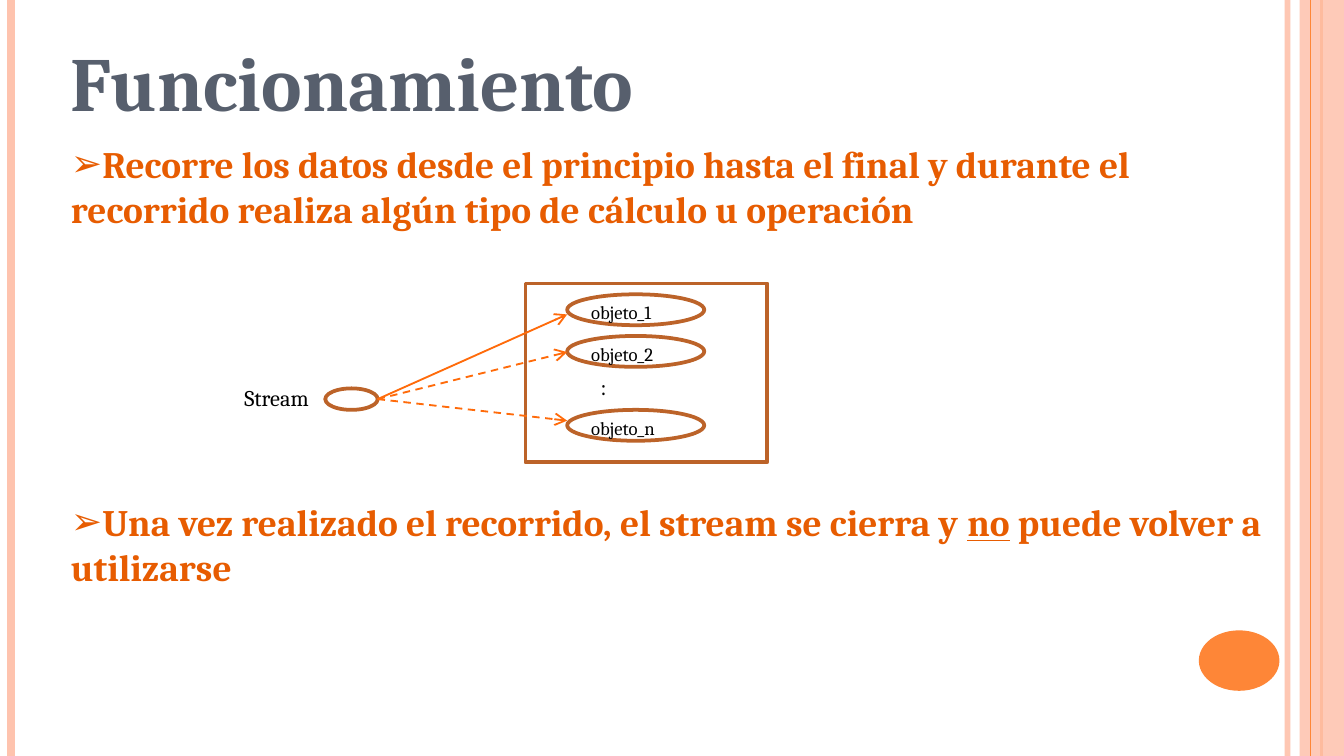
from lxml import etree
from pptx import Presentation
from pptx.dml.color import RGBColor
from pptx.enum.dml import MSO_LINE
from pptx.enum.shapes import MSO_CONNECTOR, MSO_SHAPE
from pptx.oxml.ns import qn
from pptx.util import Inches, Pt

RECT, OVAL = MSO_SHAPE.RECTANGLE, MSO_SHAPE.OVAL
STRAIGHT, DASH = MSO_CONNECTOR.STRAIGHT, MSO_LINE.DASH
W, H = 10, 5.625  # 16:9
FONT, BULLET_FONT = "Cambria", "Arial"
PEACH, ORANGE, BROWN, ARROW = "FEC3AE", "FE8637", "BC6329", "FF6B0A"
GREY, RUST, BLACK = "575F6D", "E75C01", "000000"

# Content
TITLE = "Funcionamiento"
# space before in points, then (text, underlined) runs
BULLETS = [
    (6, [("Recorre los datos desde el principio hasta el final y durante el "
          "recorrido realiza algún tipo de cálculo u operación", False)]),
    (132, [("Una vez realizado el recorrido, el stream se cierra y ", False),
           ("no", True), (" puede volver a utilizarse", False)]),
]
# name, top of its oval, height of the arrow tip, dash
OBJECTS = [
    ("objeto_1", 2.19, 2.34, None),
    ("objeto_2", 2.5, 2.62, DASH),
    ("objeto_n", 3.05, 3.13, DASH),
]
# x, colour, width in points, opacity in percent
STRIPES = [(9.58, PEACH, 3, 93), (0.08, PEACH, 4.5, 100), (9.83, ORANGE, 1.5, 100)]

prs = Presentation()
prs.slide_width, prs.slide_height = Inches(W), Inches(H)
s = prs.slides.add_slide(prs.slide_layouts[6])


def rgb(color):
    return RGBColor.from_string(color)


def set_alpha(sp, percent):
    color = next(sp._element.spPr.iter(qn("a:srgbClr")))
    etree.SubElement(color, qn("a:alpha")).set("val", str(percent * 1000))


def add_shape(kind, x, y, w, h, fill=None, line=None):
    sp = s.shapes.add_shape(kind, Inches(x), Inches(y), Inches(w), Inches(h))
    sp.shadow.inherit = False
    if fill:
        sp.fill.solid()
        sp.fill.fore_color.rgb = rgb(fill)
    else:
        sp.fill.background()
    if line:
        sp.line.color.rgb = rgb(line)
        sp.line.width = Pt(2)
    else:
        sp.line.fill.background()
    return sp


def add_line(x1, y1, x2, y2, color, width, dash=None):
    c = s.shapes.add_connector(STRAIGHT, Inches(x1), Inches(y1), Inches(x2), Inches(y2))
    c.line.color.rgb = rgb(color)
    c.line.width = Pt(width)
    if dash:
        c.line.dash_style = dash
    etree.SubElement(c._element.spPr, qn("a:effectLst"))
    return c


def add_run(p, text, size, color, bold=False, underline=False):
    r = p.add_run()
    r.text = text
    r.font.name, r.font.size, r.font.bold = FONT, Pt(size), bold
    r.font.color.rgb = rgb(color)
    if underline:
        r.font.underline = True


def add_box(x, y, w, h):
    tf = s.shapes.add_textbox(Inches(x), Inches(y), Inches(w), Inches(h)).text_frame
    tf.word_wrap = True
    return tf


def add_label(text, x, y, w, h, size):
    add_run(add_box(x, y, w, h).paragraphs[0], text, size, BLACK)


# Side stripes and corner disc
for x, color, width, alpha in STRIPES:
    stripe = add_line(x, 0, x, H, color, width)
    if alpha < 100:
        set_alpha(stripe, alpha)
set_alpha(add_shape(RECT, 9.67, 0, 0.33, H, fill=PEACH), 87)
add_line(9.75, 0, 9.75, H, ORANGE, 0.75)
add_shape(OVAL, 8.92, 4.69, 0.6, 0.45, fill=ORANGE)

# Title
add_run(add_box(0.43, 0.21, 9.06, 0.89).paragraphs[0], TITLE, 41, GREY, bold=True)

# Bullets, with room for the diagram between them
tf = add_box(0.43, 1, 9.06, 3.45)
for i, (before, runs) in enumerate(BULLETS):
    p = tf.paragraphs[0] if i == 0 else tf.add_paragraph()
    p.space_before, p.space_after = Pt(before), Pt(12)
    pPr = p._p.get_or_add_pPr()
    pPr.set("marL", "0")
    pPr.set("indent", "0")
    etree.SubElement(pPr, qn("a:buFont")).set("typeface", BULLET_FONT)
    etree.SubElement(pPr, qn("a:buChar")).set("char", "➢")
    for text, underlined in runs:
        add_run(p, text, 20, RUST, bold=True, underline=underlined)

# Stream and the collection it walks through
add_shape(OVAL, 2.42, 2.89, 0.39, 0.16, line=BROWN)
add_label("Stream", 1.72, 2.81, 0.86, 0.3, 12)
add_shape(RECT, 3.91, 2.11, 1.8, 1.33, line=BROWN)
add_label(":", 4.37, 2.73, 0.86, 0.3, 12)
for name, top, tip, dash in OBJECTS:
    add_shape(OVAL, 4.22, top, 1.02, 0.23, line=BROWN)
    add_label(name, 4.3, top, 0.78, 0.27, 10)
    arrow = add_line(2.81, 2.97, 4.22, tip, ARROW, 1, dash)
    ln = arrow._element.spPr.find(qn("a:ln"))
    etree.SubElement(ln, qn("a:tailEnd")).set("type", "arrow")

prs.save("out.pptx")
